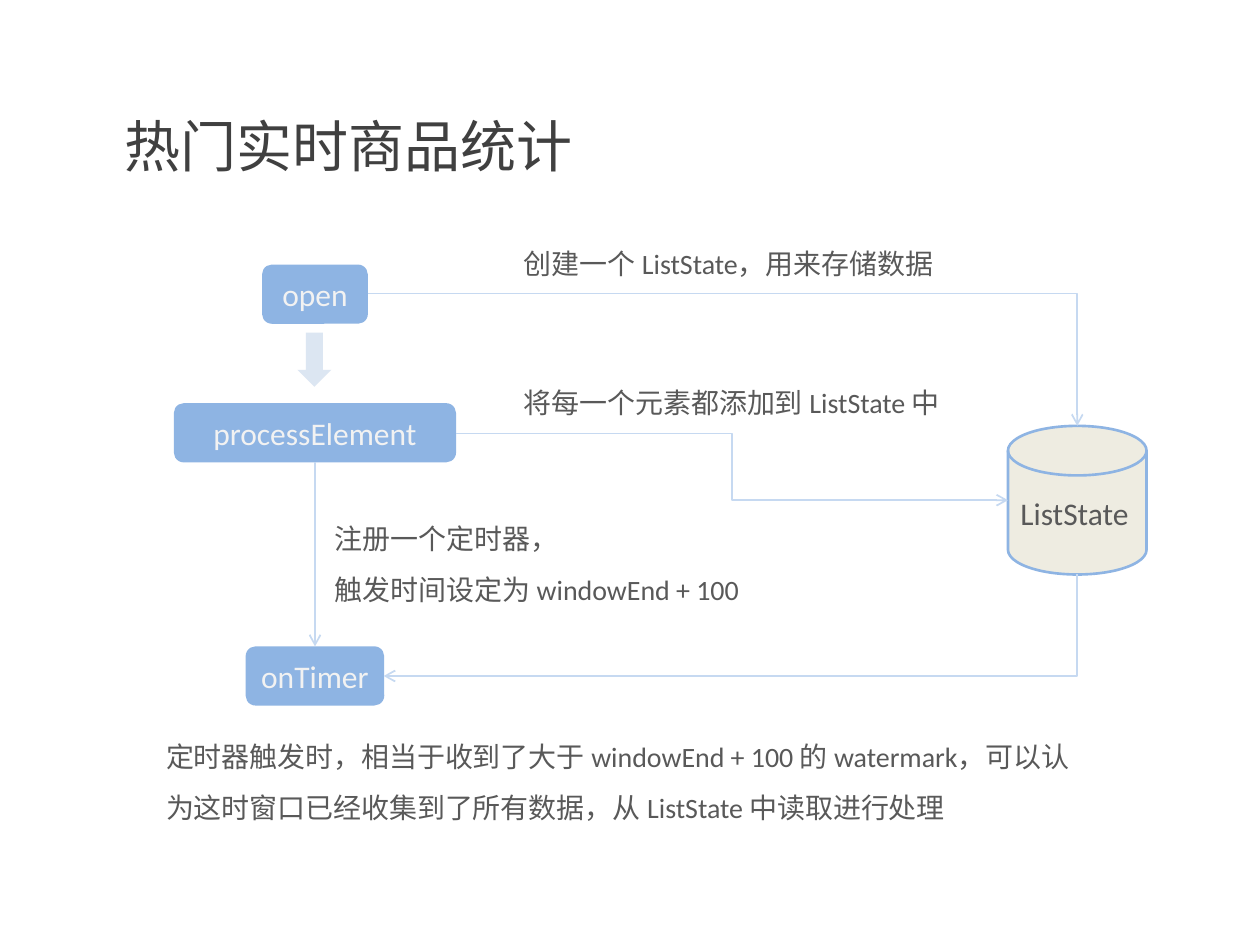
from lxml import etree
from pptx import Presentation
from pptx.dml.color import RGBColor
from pptx.enum.lang import MSO_LANGUAGE_ID as Lang
from pptx.enum.shapes import MSO_CONNECTOR as Connector, MSO_SHAPE as Shape
from pptx.enum.text import MSO_ANCHOR as Anchor, PP_ALIGN as Align
from pptx.oxml.ns import qn
from pptx.util import Inches, Pt

BLUE = RGBColor(0x8E, 0xB4, 0xE3)
PALE_BLUE = RGBColor(0xDC, 0xE6, 0xF2)
LINE_BLUE = RGBColor(0xC6, 0xD9, 0xF1)
CREAM = RGBColor(0xEE, 0xEC, 0xE1)
OFF_WHITE = RGBColor(0xF2, 0xF2, 0xF2)
TITLE_GRAY = RGBColor(0x40, 0x40, 0x40)
TEXT_GRAY = RGBColor(0x59, 0x59, 0x59)


def write(frame, text, size, color):
    """Fill a text frame, with Calibri for Latin and Noto Sans for Chinese."""
    frame.text = text
    for paragraph in frame.paragraphs:
        for run in paragraph.runs:
            font = run.font
            font.size, font.name = Pt(size), "Calibri"
            font.color.rgb = color
            font.language_id = Lang.SIMPLIFIED_CHINESE
            east_asian = etree.SubElement(font._element, qn("a:ea"))
            east_asian.set("typeface", "Noto Sans CJK SC")


def add_arrow(kind, x1, y1, x2, y2):
    arrow = slide.shapes.add_connector(
        kind, Inches(x1), Inches(y1), Inches(x2), Inches(y2))
    arrow.line.color.rgb = LINE_BLUE
    arrow.line.width = Pt(1)
    etree.SubElement(arrow.line._get_or_add_ln(), qn("a:tailEnd")).set("type", "arrow")
    etree.SubElement(arrow._element.spPr, qn("a:effectLst"))
    return arrow


prs = Presentation()
prs.slide_width, prs.slide_height = Inches(10), Inches(7.5)
slide = prs.slides.add_slide(prs.slide_layouts[5])

title = slide.shapes.title
title.left, title.top = Inches(0.5), Inches(0.53)
title.width, title.height = Inches(9), Inches(1.25)
write(title.text_frame, "热门实时商品统计", 32, TITLE_GRAY)
title.text_frame.vertical_anchor = Anchor.MIDDLE
heading = title.text_frame.paragraphs[0]
heading.alignment = Align.LEFT
heading._p.get_or_add_pPr().set("indent", str(Inches(0.39)))

# Lifecycle methods share one vertical axis
AXIS = 2.5
methods = {}
for method, top, width in [("open", 2.1, 0.84), ("processElement", 3.2, 2.24),
                           ("onTimer", 5.13, 1.1)]:
    box = slide.shapes.add_shape(
        Shape.ROUNDED_RECTANGLE, Inches(AXIS - width / 2), Inches(top),
        Inches(width), Inches(0.47))
    box.shadow.inherit = False
    box.fill.solid()
    box.fill.fore_color.rgb = BLUE
    box.line.fill.background()
    write(box.text_frame, method, 18, OFF_WHITE)
    box.text_frame.word_wrap = False
    box.text_frame.vertical_anchor = Anchor.MIDDLE
    box.text_frame.paragraphs[0].alignment = Align.CENTER
    methods[method] = box

next_step = slide.shapes.add_shape(
    Shape.DOWN_ARROW, Inches(2.36), Inches(2.64), Inches(0.27), Inches(0.43))
next_step.shadow.inherit = False
next_step.fill.solid()
next_step.fill.fore_color.rgb = PALE_BLUE
next_step.line.fill.background()

state_store = slide.shapes.add_shape(
    Shape.FLOWCHART_MAGNETIC_DISK, Inches(8), Inches(3.38), Inches(1.1), Inches(1.18))
state_store.shadow.inherit = False
state_store.fill.solid()
state_store.fill.fore_color.rgb = CREAM
state_store.line.color.rgb = BLUE
state_store.line.width = Pt(1.5)
write(state_store.text_frame, "ListState", 18, TEXT_GRAY)
state_store.text_frame.vertical_anchor = Anchor.MIDDLE
state_store.text_frame.paragraphs[0].alignment = Align.LEFT

notes = [
    (4.06, 1.86, 4.32, 0.48, 1, "创建一个 ListState，用来存储数据"),
    (4.06, 2.96, 4.32, 0.48, 1, "将每一个元素都添加到 ListState 中"),
    (2.56, 3.91, 3.78, 0.94, 1.5, "注册一个定时器，\n触发时间设定为 windowEnd + 100"),
    (1.22, 5.64, 7.56, 0.94, 1.5,
     "定时器触发时，相当于收到了大于 windowEnd + 100 的 watermark，"
     "可以认为这时窗口已经收集到了所有数据，从 ListState 中读取进行处理"),
]
for left, top, width, height, spacing, text in notes:
    note = slide.shapes.add_textbox(
        Inches(left), Inches(top), Inches(width), Inches(height)).text_frame
    note.word_wrap = True
    write(note, text, 16, TEXT_GRAY)
    for paragraph in note.paragraphs:
        paragraph.line_spacing = spacing

for frame in [state_store.text_frame] + [
        shape.text_frame for shape in slide.shapes if shape.shape_type == 17]:
    frame.margin_left = frame.margin_right = Inches(0.1)
    frame.margin_top = frame.margin_bottom = Inches(0.1)

create_state = add_arrow(Connector.ELBOW, 2.92, 2.33, 8.55, 3.38)
add_arrow(Connector.ELBOW, 3.62, 3.44, 8, 3.97)
# Turned a quarter clockwise: runs down from the store, then left to onTimer
read_state = add_arrow(Connector.ELBOW, 5.39, 2.21, 6.2, 7.71)
read_state._element.spPr.find(qn("a:xfrm")).set("rot", str(90 * 60000))
for single_bend in (create_state, read_state):
    single_bend._element.spPr.find(qn("a:prstGeom")).set("prst", "bentConnector2")

set_timer = add_arrow(Connector.STRAIGHT, AXIS, 3.67, AXIS, 5.13)
set_timer.begin_connect(methods["processElement"], 2)
set_timer.end_connect(methods["onTimer"], 0)

prs.save("out.pptx")
